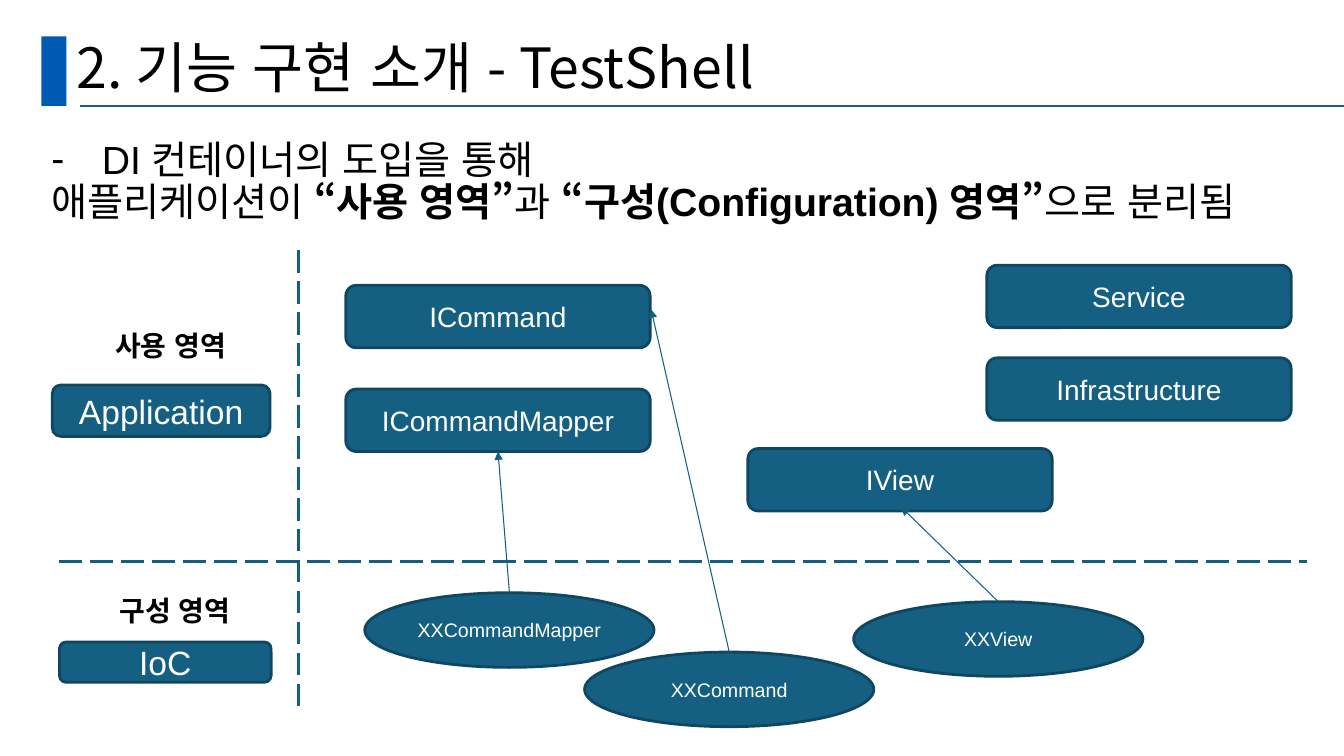
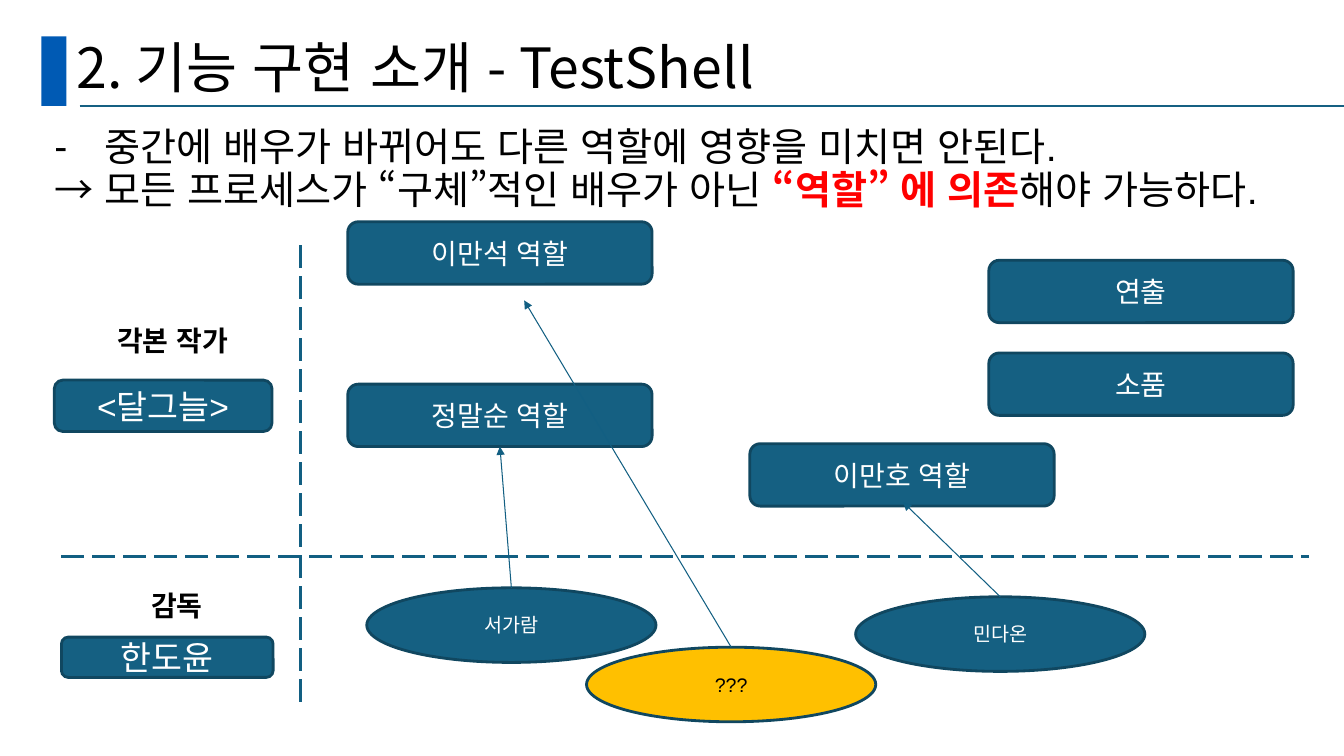
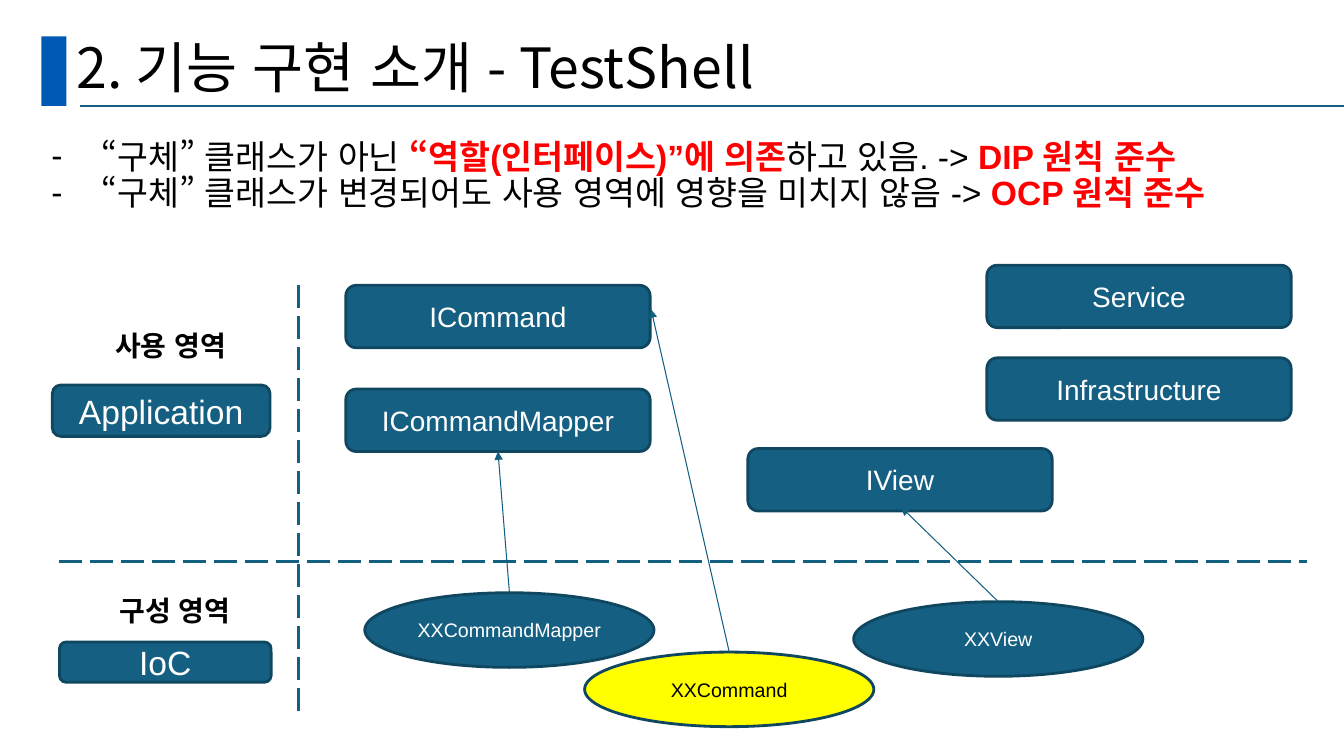
from dataclasses import dataclass

from lxml import etree
from pptx import Presentation
from pptx.dml.color import RGBColor
from pptx.enum import dml, lang, shapes, text
from pptx.oxml.ns import qn
from pptx.util import Pt

COLORS = {
    "band": "005AB4",
    "node": "156082",
    "outline": "104760",
    "link": "125F82",
    "ink": "000000",
    "light": "FFFFFF",
    "red": "FF0000",
    "amber": "FFC000",
    "yellow": "FFFF00",
}
LATIN, KOREAN = "Arial", "Noto Sans CJK KR"
LANGUAGE = lang.MSO_LANGUAGE_ID.KOREAN
TITLE = "2. 기능 구현 소개 - TestShell"
TEXT_INDENT, HANGING = 13.7, 36
ROLE_SIZE, ACTOR_SIZE = (217.4, 44.6), (206.6, 53.3)
ROUNDED, OVAL = shapes.MSO_SHAPE.ROUNDED_RECTANGLE, shapes.MSO_SHAPE.OVAL
TOP_SITE, BOTTOM_SITE = 0, 2


@dataclass
class Diagram:
    """Wording of one two-area diagram and the few places where slides differ."""
    areas: tuple            # upper and lower heading
    owners: tuple           # box under each heading
    roles: tuple            # first, second, view, then the two side boxes
    actors: tuple           # mapper, command, view
    shift: tuple = (0, 0)
    first_role_top: float = 203.8
    command_target: tuple = (465.1, 221)
    divider_top: float = 178.6
    highlight: str = "node"


def rgb(name):
    return RGBColor.from_string(COLORS[name])


def points(*lengths):
    return [Pt(length) for length in lengths]


def style_paragraph(paragraph, size, color="ink", latin=LATIN, bold=False):
    """Set the font of a paragraph, and the language of the runs it has."""
    font = paragraph.font
    font.name, font.size, font.bold = latin, Pt(size), bold
    font.color.rgb = rgb(color)
    defaults = paragraph._p.pPr.find(qn("a:defRPr"))
    east_asian = etree.Element(qn("a:ea"), typeface=KOREAN)
    defaults.find(qn("a:latin")).addnext(east_asian)
    for run in paragraph.runs:
        run.font.language_id = LANGUAGE


def set_indent(paragraph, bullet=None):
    """Indent a paragraph, with a hanging bullet if one is given."""
    properties = paragraph._p.get_or_add_pPr()
    hanging = HANGING if bullet else 0
    properties.set("marL", str(Pt(TEXT_INDENT + hanging)))
    properties.set("indent", str(-Pt(hanging)))
    if bullet:
        mark = etree.Element(qn("a:buChar"), char=bullet)
    else:
        mark = etree.Element(qn("a:buNone"))
    defaults = properties.find(qn("a:defRPr"))
    defaults.addprevious(mark)


def place(shape, left, top, width, height):
    shape.left, shape.top, shape.width, shape.height = points(left, top, width, height)


def add_node(slide, kind, wording, box, size, fill="node"):
    node = slide.shapes.add_shape(kind, *points(*box))
    node.shadow.inherit = False
    node.fill.solid()
    node.fill.fore_color.rgb = rgb(fill)
    node.line.color.rgb = rgb("outline")
    node.line.width = Pt(2)
    frame = node.text_frame
    frame.vertical_anchor = text.MSO_ANCHOR.MIDDLE
    paragraph = frame.paragraphs[0]
    paragraph.text = wording
    paragraph.alignment = text.PP_ALIGN.CENTER
    style_paragraph(paragraph, size, "light" if fill == "node" else "ink")
    return node


def add_line(slide, start, end, width, color="link"):
    line = slide.shapes.add_connector(shapes.MSO_CONNECTOR.STRAIGHT, *points(*start, *end))
    line.line.color.rgb = rgb(color)
    line.line.width = Pt(width)
    etree.SubElement(line.element.spPr, qn("a:effectLst"))
    return line


def add_divider(slide, start, end):
    add_line(slide, start, end, 2).line.dash_style = dml.MSO_LINE.LONG_DASH


def add_arrow(slide, actor, end, role=None):
    """Point from the top of an actor to a place, or to the foot of a role."""
    arrow = add_line(slide, (0, 0), end, 0.75)
    arrow.begin_connect(actor, TOP_SITE)
    if role is not None:
        arrow.end_connect(role, BOTTOM_SITE)
    outline = arrow.element.spPr.find(qn("a:ln"))
    etree.SubElement(outline, qn("a:tailEnd"), type="triangle")


def add_area_label(slide, wording, box):
    label = slide.shapes.add_textbox(*points(*box))
    label.text_frame.word_wrap = True
    paragraph = label.text_frame.paragraphs[0]
    paragraph.text = wording
    paragraph.alignment = text.PP_ALIGN.CENTER
    paragraph.line_spacing = 0.9
    style_paragraph(paragraph, 20, bold=True)
    set_indent(paragraph)


def decorate_layout(layout, slide):
    """Draw the heading band and rule, then move them to the shared layout."""
    band = slide.shapes.add_shape(shapes.MSO_SHAPE.RECTANGLE, *points(29.5, 25.9, 18, 49.7))
    band.shadow.inherit = False
    band.fill.solid()
    band.fill.fore_color.rgb = rgb("band")
    band.line.fill.background()
    rule = add_line(slide, (56.9, 75.6), (960, 75.6), 1.5, "node")
    for part in (band, rule):
        layout.shapes.element.append(part.element)


def fill_title(slide):
    title = slide.shapes.title
    place(title, 47.5, 24.5, 828, 51.1)
    frame = title.text_frame
    frame.auto_size = text.MSO_AUTO_SIZE.NONE
    frame.vertical_anchor = text.MSO_ANCHOR.MIDDLE
    paragraph = frame.paragraphs[0]
    paragraph.text = TITLE
    paragraph.alignment = text.PP_ALIGN.LEFT
    paragraph.line_spacing = 0.9
    style_paragraph(paragraph, 39.6, latin=KOREAN)


def fill_body(slide, lines, box, size):
    """Write lines of (bullet, runs); a run is (wording, emphasis)."""
    body = slide.placeholders[1]
    place(body, *box)
    frame = body.text_frame
    frame.auto_size = text.MSO_AUTO_SIZE.NONE
    frame.margin_right = Pt(0)
    for number, (bullet, runs) in enumerate(lines):
        paragraph = frame.add_paragraph() if number else frame.paragraphs[0]
        paragraph.line_spacing = 0.9
        paragraph.space_before = Pt(0)
        for wording, emphasis in runs:
            run = paragraph.add_run()
            run.text = wording
            if emphasis:
                run.font.bold = True
                run.font.color.rgb = rgb(emphasis)
        style_paragraph(paragraph, size)
        set_indent(paragraph, bullet)


def draw_diagram(slide, diagram):
    dx, dy = diagram.shift

    def moved(left, top, *size):
        return (left + dx, top + dy, *size)

    add_divider(slide, moved(42.5, 401), moved(933.8, 401))
    add_divider(slide, moved(213.1, diagram.divider_top), moved(213.1, 509))

    area_boxes = [(37.4, 234, 155.5, 28.8), (42.5, 423.4, 151.2, 28.8)]
    owner_boxes = [(37.4, 275, 155.5, 36.7), (42.5, 458.6, 151.2, 28.8)]
    for area, box in zip(diagram.areas, area_boxes):
        add_area_label(slide, area, moved(*box))
    for owner, box in zip(diagram.owners, owner_boxes):
        add_node(slide, ROUNDED, owner, moved(*box), 24)

    role_places = [(247, diagram.first_role_top), (247, 277.9), (534.2, 320.4),
                   (704.9, 189.4), (704.9, 255.6)]
    roles = [add_node(slide, ROUNDED, role, moved(*spot, *ROLE_SIZE), 20)
             for role, spot in zip(diagram.roles, role_places)]

    actor_places = [(260.6, 423.4), (417.6, 465.8), (609.8, 429.8)]
    fills = ["node", diagram.highlight, "node"]
    mapper, command, view = [
        add_node(slide, OVAL, actor, moved(*spot, *ACTOR_SIZE), 14, fill)
        for actor, spot, fill in zip(diagram.actors, actor_places, fills)]

    add_arrow(slide, mapper, (0, 0), roles[1])
    add_arrow(slide, command, moved(*diagram.command_target))
    add_arrow(slide, view, moved(643.7, 362.2))


def main():
    shell = dict(
        areas=("사용 영역", "구성 영역"),
        owners=("Application", "IoC"),
        roles=("ICommand", "ICommandMapper", "IView", "Service", "Infrastructure"),
        actors=("XXCommandMapper", "XXCommand", "XXView"),
    )
    film = Diagram(
        areas=("각본 작가", "감독"),
        owners=("<달그늘>", "한도윤"),
        roles=("이만석 역할", "정말순 역할", "이만호 역할", "연출", "소품"),
        actors=("서가람", "???", "민다온"),
        shift=(1.4, -3.5),
        first_role_top=161.9,
        command_target=(373, 218.1),
        highlight="amber",
    )
    separation = [
        ("-", [("DI 컨테이너의 도입을 통해", None)]),
        (None, [("애플리케이션이 ", None), ("“사용 영역”", "ink"), ("과 ", None),
                ("“구성(Configuration) 영역”", "ink"), ("으로 분리됨", None)]),
    ]
    casting = [
        ("-", [("중간에 배우가 바뀌어도 다른 역할에 영향을 미치면 안된다.", None)]),
        (None, [("→ 모든 프로세스가 “구체”적인 배우가 아닌 ", None),
                ("“역할” 에 의존", "red"), ("해야 가능하다.", None)]),
    ]
    principles = [
        ("-", [("“구체” 클래스가 아닌 ", None), ("“역할(인터페이스)”에 의존", "red"),
               ("하고 있음. -> ", None), ("DIP 원칙 준수", "red")]),
        ("-", [("“구체” 클래스가 변경되어도 사용 영역에 영향을 미치지 않음 -> ", None),
               ("OCP 원칙 준수", "red")]),
    ]
    pages = [
        (separation, (15.8, 96.5, 924.5, 68.4), 28, Diagram(**shell)),
        (casting, (18, 87.8, 924.5, 98.6), 28, film),
        (principles, (15.8, 96.5, 924.5, 59.8), 24,
         Diagram(**shell, divider_top=203.8, highlight="yellow")),
    ]

    deck = Presentation()
    deck.slide_width, deck.slide_height = points(960, 540)
    layout = deck.slide_layouts[1]
    for number, (lines, box, size, diagram) in enumerate(pages):
        slide = deck.slides.add_slide(layout)
        if number == 0:
            decorate_layout(layout, slide)
        fill_title(slide)
        fill_body(slide, lines, box, size)
        draw_diagram(slide, diagram)
    deck.save("out.pptx")


if __name__ == "__main__":
    main()
